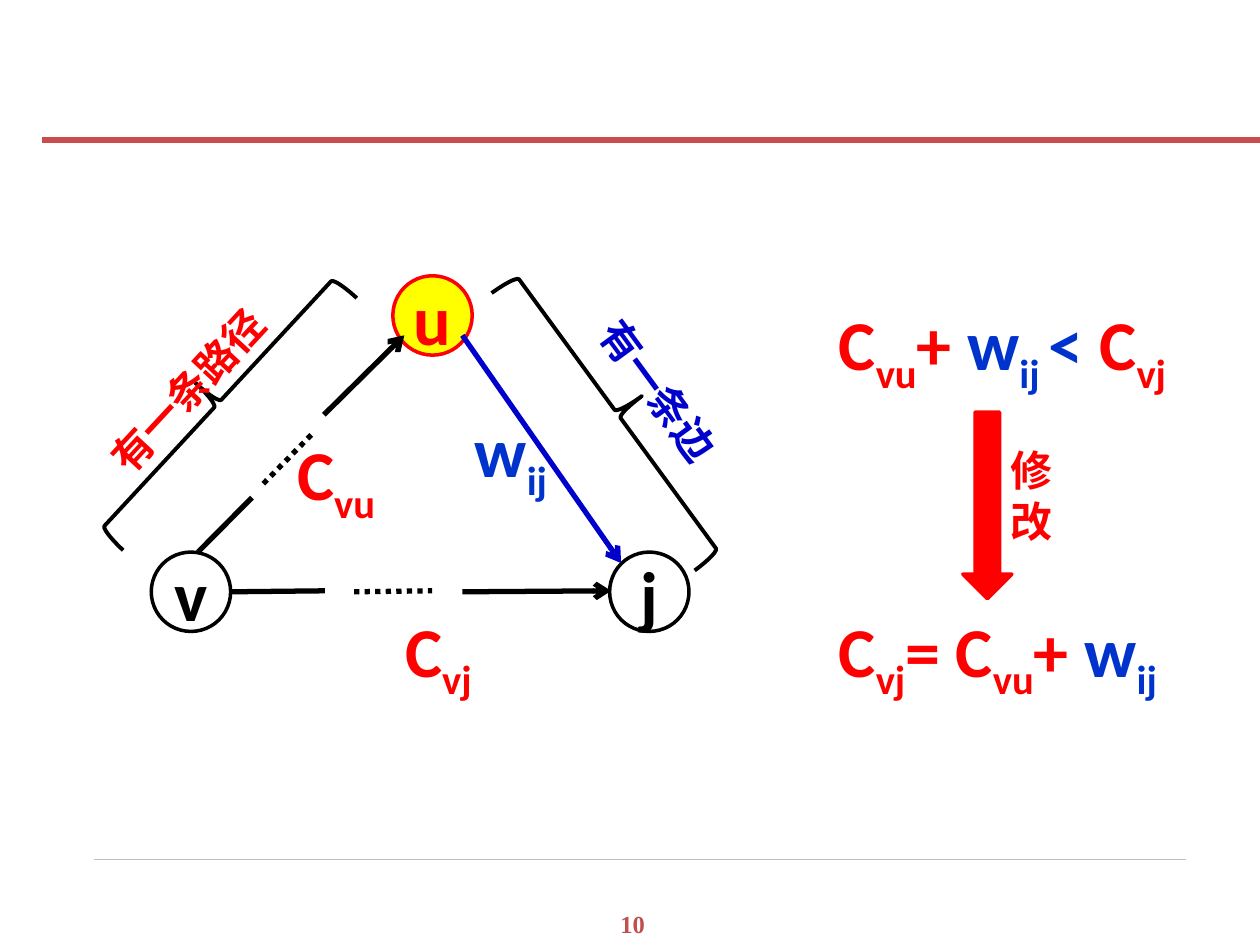
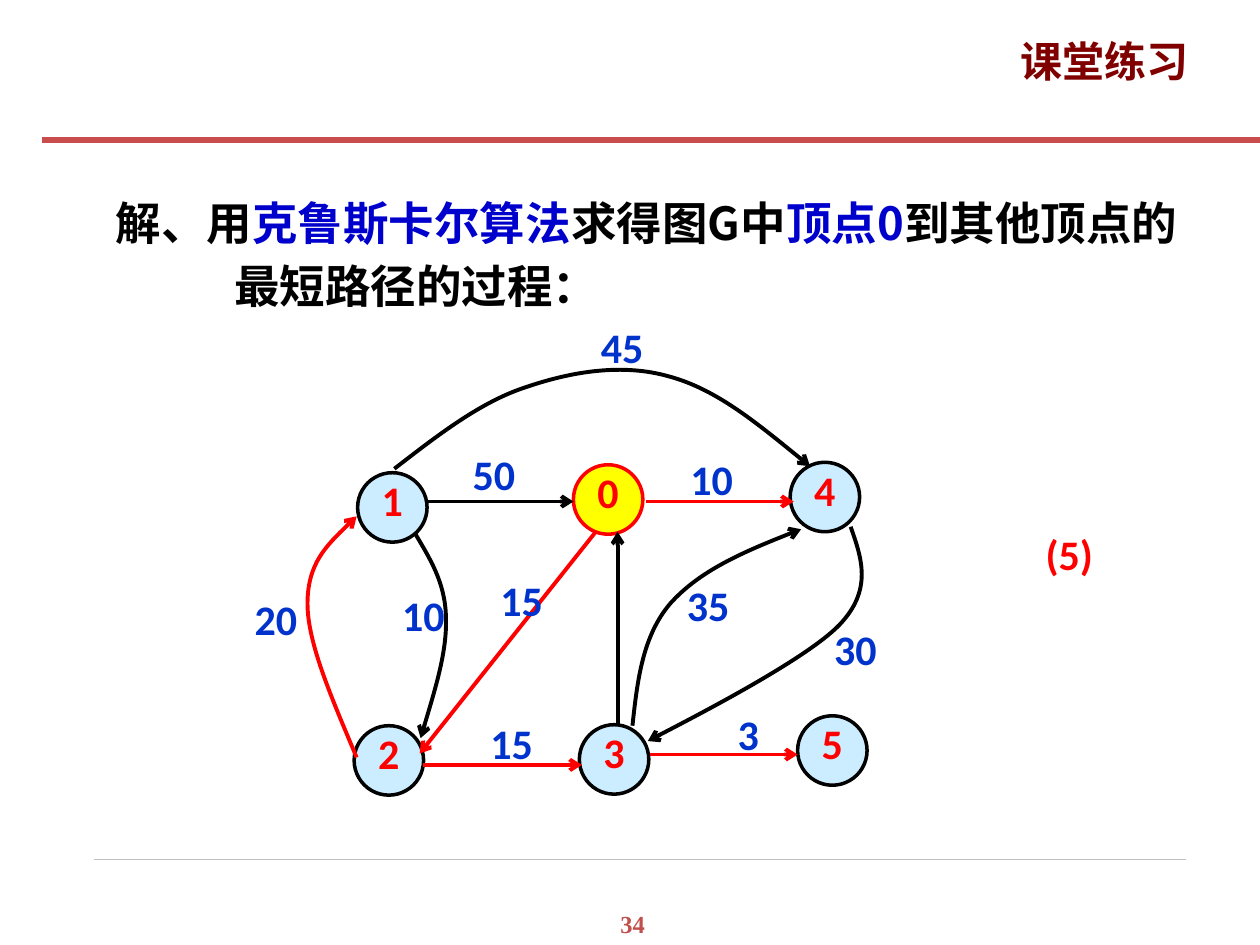
from lxml import etree
from pptx import Presentation
from pptx import util as u
from pptx.dml import color as colors
from pptx.enum import dml, shapes, text
from pptx.oxml import ns

RED, BLUE, NAVY, BLACK = "FF0000", "0033CC", "0000CC", "000000"
YELLOW, PALE_BLUE, MAROON = "FFFF00", "CCECFF", "800000"
RULE, FOOT_RULE, PAGE_NUMBER = "C94D4D", "C0C0C0", "C0504D"
LATIN, CHINESE, SERIF = "Calibri", "Noto Sans CJK SC", "Times New Roman"
TITLE_ONLY, BLANK = 5, 6
CENTER, LEFT = text.PP_ALIGN.CENTER, text.PP_ALIGN.LEFT


def rgb(value):
    return colors.RGBColor.from_string(value)


def cm(*values):
    return [u.Cm(value) for value in values]


def write(frame, paragraphs, size=24, color=BLACK, font=LATIN, align=LEFT,
          line_points=None, indent=None, margin=None, wrap=True,
          anchor=text.MSO_ANCHOR.TOP, grow=False):
    """Fill a frame; each paragraph is a string or a list of (text, overrides)."""
    frame.word_wrap = wrap
    frame.vertical_anchor = anchor
    if grow:
        frame.auto_size = text.MSO_AUTO_SIZE.SHAPE_TO_FIT_TEXT
    if margin is not None:
        frame.margin_left = frame.margin_right = u.Cm(margin)
        frame.margin_top = frame.margin_bottom = u.Cm(margin)
    for number, spans in enumerate(paragraphs):
        para = frame.add_paragraph() if number else frame.paragraphs[0]
        para.alignment = align
        para.space_before = u.Pt(0)
        if line_points:
            para.line_spacing = u.Pt(line_points)
        if indent:
            left, first = cm(*indent)
            properties = para._p.get_or_add_pPr()
            properties.set("marL", str(left))
            properties.set("indent", str(first))
        for words, changes in [(spans, {})] if isinstance(spans, str) else spans:
            span = para.add_run()
            span.text = words
            span.font.size = u.Pt(size)
            span.font.bold = True
            span.font.name = font
            span.font.color.rgb = rgb(changes.get("color", color))
            run_properties = span._r.get_or_add_rPr()
            etree.SubElement(run_properties, ns.qn("a:ea"), typeface=CHINESE)
            if changes.get("subscript"):
                run_properties.set("baseline", "-25000")


def add_text(page, place, *paragraphs, rotation=0, **style):
    box = page.shapes.add_textbox(*cm(*place))
    write(box.text_frame, paragraphs, grow=True, **style)
    box.rotation = rotation
    return box


def set_line(line, color, width, arrow=False):
    line.color.rgb = rgb(color)
    line.width = u.Pt(width)
    if arrow:
        etree.SubElement(line._get_or_add_ln(), ns.qn("a:tailEnd"), type="arrow")


def add_line(page, start, end, color=BLACK, width=2.25, arrow=False, dotted=False):
    line = page.shapes.add_connector(shapes.MSO_CONNECTOR.STRAIGHT,
                                     *cm(*start, *end))
    if dotted:
        line.line.dash_style = dml.MSO_LINE.ROUND_DOT
    set_line(line.line, color, width, arrow)
    etree.SubElement(line._element.spPr, ns.qn("a:effectLst"))


def add_curve(page, points, color=BLACK):
    """Draw a curved arrow: a start, then three Bezier points for each piece."""
    start, *rest = [cm(*point) for point in points]
    builder = page.shapes.build_freeform(*start)
    builder.add_line_segments(rest, close=False)
    curve = builder.convert_to_shape()
    outline = curve._element.find(".//" + ns.qn("a:path"))
    steps = outline.findall(ns.qn("a:lnTo"))
    for first in range(0, len(steps), 3):
        piece = etree.SubElement(outline, ns.qn("a:cubicBezTo"))
        for step in steps[first:first + 3]:
            piece.append(step[0])
            outline.remove(step)
    curve.shadow.inherit = False
    curve.fill.background()
    set_line(curve.line, color, 2.25, arrow=True)


def add_preset(page, kind, place, fill=None, line=BLACK, width=2, rotation=0):
    shape = page.shapes.add_shape(kind, *cm(*place))
    shape.shadow.inherit = False
    shape.rotation = rotation
    if fill:
        shape.fill.solid()
        shape.fill.fore_color.rgb = rgb(fill)
    else:
        shape.fill.background()
    set_line(shape.line, line, width)
    return shape


def add_node(page, label, left, top, diameter, fill=None, line=BLACK, **style):
    node = add_preset(page, shapes.MSO_SHAPE.OVAL,
                      (left, top, diameter, diameter), fill, line)
    write(node.text_frame, [label], align=CENTER, margin=0,
          anchor=text.MSO_ANCHOR.MIDDLE, **style)


def add_page(deck, layout, number):
    """Add a slide with the rules and page number that all slides share."""
    page = deck.slides.add_slide(deck.slide_layouts[layout])
    add_line(page, (1.9, 17.32), (23.9, 17.32), FOOT_RULE, 0.25)
    add_line(page, (0.84, 2.82), (25.4, 2.82), RULE, 3.5)
    add_text(page, (12.12, 18.21, 1.27, 0.86), number, size=14,
             color=PAGE_NUMBER, font=SERIF, align=CENTER)
    return page


def term(name, index, color=RED):
    """Give the spans of a symbol with a subscript."""
    return [(name, {"color": color}),
            (index, {"color": color, "subscript": True})]


def add_relaxation_page(deck):
    page = add_page(deck, BLANK, "10")

    for label, left, top, fill, color in [("u", 7.92, 5.56, YELLOW, RED),
                                          ("v", 3.05, 11.13, None, BLACK),
                                          ("j", 12.29, 11.13, None, BLACK)]:
        add_node(page, label, left, top, 1.6, fill, color,
                 size=40, color=color, line_points=50)

    add_line(page, (9.32, 6.76), (12.52, 11.35), NAVY, 3, arrow=True)
    paths = [
        [(4.65, 11.93), (6.55, 11.91), (7.14, 11.93), (8.71, 11.91),
         (9.32, 11.93), (12.32, 11.91)],
        [(3.99, 11.13), (5.08, 10.03), (5.31, 9.75), (6.3, 8.74),
         (6.53, 8.36), (8.15, 6.76)],
    ]
    for first, gap, dots, dots_end, last, tip in paths:
        add_line(page, first, gap, width=3)
        add_line(page, dots, dots_end, width=3, dotted=True)
        add_line(page, last, tip, width=3, arrow=True)

    for left, top, rotation in [(11.84, 4.88, 323.8), (3.78, 4.67, 222.8)]:
        add_preset(page, shapes.MSO_SHAPE.RIGHT_BRACE, (left, top, 1.22, 6.93),
                   width=2.25, rotation=rotation)
    for words, left, top, width, rotation, color in [
            ("有一条边", 11.07, 6.5, 5.16, 53.8, NAVY),
            ("有一条路径", 0.36, 6.45, 6.15, 312.9, RED)]:
        add_text(page, (left, top, width, 2.18), [(words, {"subscript": True})],
                 size=40, color=color, align=CENTER, rotation=rotation)

    plus = [("+ ", {})]
    formulas = [
        (9.32, 8.1, 2.77, term("w", "ij", BLUE)),
        (7.92, 12.12, 2.77, term("C", "vj")),
        (5.74, 8.56, 2.77, term("C", "vu")),
        (16.66, 5.94, 7.54, term("C", "vu") + plus + term("w", "ij ", BLUE)
         + [("< ", {"color": BLUE})] + term("C", "vj")),
        (16.66, 12.12, 7.54, term("C", "vj") + [("= ", {})] + term("C", "vu")
         + plus + term("w", "ij", BLUE)),
    ]
    for left, top, width, spans in formulas:
        add_text(page, (left, top, width, 2.18), spans, size=40, color=RED)

    add_preset(page, shapes.MSO_SHAPE.DOWN_ARROW, (19.41, 8.31, 0.99, 3.76),
               RED, RED)
    add_text(page, (20.12, 8.84, 1.35, 2.29), "修", "改", color=RED,
             font=CHINESE, line_points=28.8, wrap=False)


def add_exercise_page(deck):
    page = add_page(deck, TITLE_ONLY, "34")
    title = page.shapes.title
    title.left, title.top, title.width, title.height = cm(20.32, 0.58, 4.3, 1.75)
    write(title.text_frame, ["课堂练习"], color=MAROON, font=CHINESE, wrap=False)

    key = {"color": NAVY}
    add_text(page, (1.98, 3.63, 22.63, 2.79),
             [("解、用", {}), ("克鲁斯卡尔算法", key), ("求得图G中", {}),
              ("顶点0", key), ("到其他顶点的最短路径的过程：", {})],
             size=26, font=CHINESE, line_points=36, indent=(2.49, -2.39))

    nodes = [("1", 7.21, 9.53), ("0", 11.56, 9.37), ("4", 15.93, 9.32),
             ("2", 7.14, 14.63), ("3", 11.68, 14.61), ("5", 16.08, 14.43)]
    for label, left, top in nodes:
        fill, line = (YELLOW, RED) if label == "0" else (PALE_BLUE, BLACK)
        add_node(page, label, left, top, 1.4, fill, line,
                 color=RED, line_points=20)

    straight_edges = [
        ((8.59, 10.11), (11.56, 10.11), BLACK),
        ((13.03, 10.11), (16, 10.11), RED),
        ((12.01, 10.72), (8.46, 15.19), RED),
        ((12.45, 14.63), (12.45, 10.72), BLACK),
        ((8.53, 15.42), (11.73, 15.42), RED),
        ((13.11, 15.21), (16.08, 15.21), RED),
    ]
    for start, end, color in straight_edges:
        add_line(page, start, end, color, arrow=True)

    curved_edges = [
        (BLACK, [(7.95, 9.45), (8.81, 8.79), (9.68, 8.1), (10.62, 7.8),
                 (11.53, 7.49), (12.55, 7.32), (13.49, 7.59),
                 (14.45, 7.85), (15.39, 8.64), (16.33, 9.4)]),
        (BLACK, [(8.36, 10.74), (8.66, 11.25), (8.97, 11.73), (8.99, 12.42),
                 (9.02, 13.11), (8.74, 14), (8.48, 14.88)]),
        (RED, [(7.19, 15.27), (6.71, 14.12), (6.2, 12.98), (6.2, 12.17),
               (6.2, 11.35), (6.71, 10.87), (7.19, 10.41)]),
        (BLACK, [(12.75, 14.63), (12.85, 13.72), (12.95, 12.83), (13.51, 12.17),
                 (14.1, 11.51), (15.11, 11.07), (16.15, 10.67)]),
        (BLACK, [(17.15, 10.62), (17.37, 11.25), (17.6, 11.89), (16.92, 12.6),
                 (16.23, 13.31), (13.06, 14.94), (13.06, 14.94)]),
    ]
    for color, points in curved_edges:
        add_curve(page, points, color)

    weights = [("50", 9.17, 8.92), ("10", 13.56, 9.02), ("45", 11.76, 6.35),
               ("20", 4.78, 11.84), ("10", 7.75, 11.76), ("15", 9.73, 11.46),
               ("15", 9.53, 14.33), ("35", 13.49, 11.56), ("30", 16.46, 12.45),
               ("3", 14.3, 14.15)]
    for weight, left, top in weights:
        add_text(page, (left, top, 1.57, 1.27), weight, color=BLUE, align=CENTER)
    add_text(page, (20.83, 10.52, 1.57, 1.27), "(5)", color=RED)


def main():
    deck = Presentation()
    deck.slide_width, deck.slide_height = cm(25.4, 19.05)
    add_relaxation_page(deck)
    add_exercise_page(deck)
    deck.save("out.pptx")


if __name__ == "__main__":
    main()
